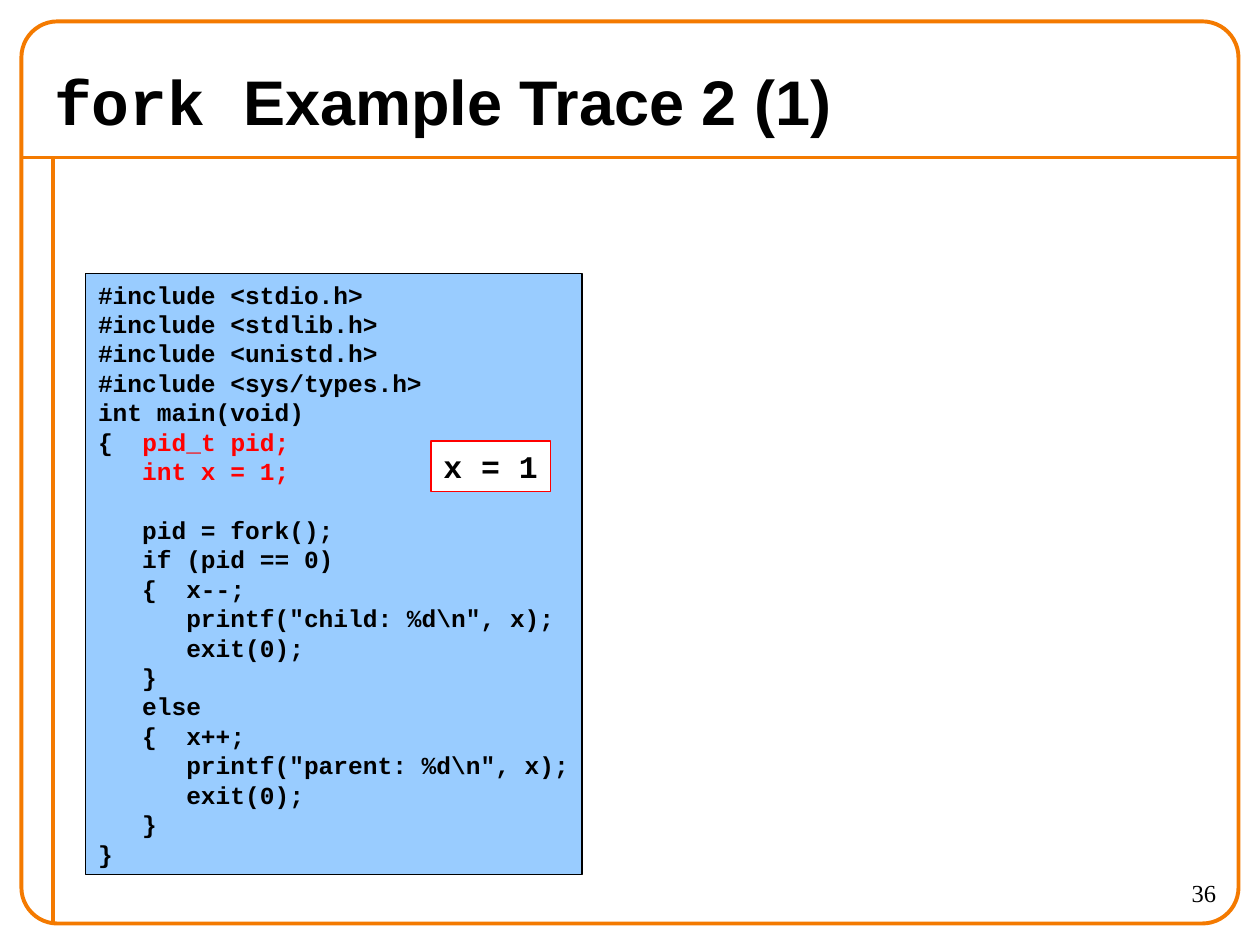
import lxml.etree
import pptx
import pptx.dml.color
import pptx.enum.shapes
import pptx.enum.text
import pptx.oxml.ns
import pptx.util

Inches = pptx.util.Inches
Shape = pptx.enum.shapes.MSO_SHAPE
Align = pptx.enum.text.PP_ALIGN
Anchor = pptx.enum.text.MSO_ANCHOR

ORANGE, BLACK, RED = "F47A00", "000000", "FF0000"
MONO = "Courier New"

TITLE = [("fork ", MONO), ("Example Trace 2 (1)", "Arial")]
PAGE = "36"
STATE = "x = 1"

# Each line of code is a list of (text, colour) runs.
CODE = [
    [("#include <stdio.h>", BLACK)],
    [("#include <stdlib.h>", BLACK)],
    [("#include <unistd.h>", BLACK)],
    [("#include <sys/types.h>", BLACK)],
    [("int main(void)", BLACK)],
    [("{  ", BLACK), ("pid_t pid;", RED)],
    [("   int x = 1;", RED)],
    [],
    [("   pid = fork();", BLACK)],
    [("   if (pid == 0)", BLACK)],
    [("   {  x--;", BLACK)],
    [('      printf("child: %d\\n", x);', BLACK)],
    [("      exit(0);", BLACK)],
    [("   }", BLACK)],
    [("   else", BLACK)],
    [("   {  x++;", BLACK)],
    [('      printf("parent: %d\\n", x);', BLACK)],
    [("      exit(0);", BLACK)],
    [("   }", BLACK)],
    [("}", BLACK)],
]

# Frame and rules: left, top, right, bottom
LEFT, TOP, RIGHT, BOTTOM = 0.17, 0.17, 9.83, 7.33
HEAD, MARGIN = 1.25, 0.42
RULES = [(LEFT, HEAD, RIGHT, HEAD), (MARGIN, HEAD, MARGIN, BOTTOM)]


def color(target, value):
    target.rgb = pptx.dml.color.RGBColor.from_string(value)


def add_run(par, text, size, face, tint=BLACK, bold=True):
    run = par.add_run()
    run.text = text
    style = {"size": pptx.util.Pt(size), "name": face, "bold": bold}
    for key, value in style.items():
        setattr(run.font, key, value)
    color(run.font.color, tint)


def set_line(line, tint, width):
    color(line.color, tint)
    line.width = pptx.util.Pt(width)


def add_rule(slide, ends):
    rule = slide.shapes.add_connector(
        pptx.enum.shapes.MSO_CONNECTOR.STRAIGHT, *map(Inches, ends))
    set_line(rule.line, ORANGE, 2.25)
    lxml.etree.SubElement(rule._element.spPr, pptx.oxml.ns.qn("a:effectLst"))


def add_box(slide, kind, place, edge, width, fill=None):
    box = slide.shapes.add_shape(kind, *map(Inches, place))
    box.shadow.inherit = False
    set_line(box.line, edge, width)
    if fill:
        box.fill.solid()
        color(box.fill.fore_color, fill)
    else:
        box.fill.background()
    return box


def add_code(slide, place, edge, fill, lines, size):
    """Add a filled box holding lines of monospaced code."""
    box = add_box(slide, Shape.RECTANGLE, place, edge, 0.75, fill)
    frame = box.text_frame
    frame.word_wrap = False
    frame.vertical_anchor = Anchor.TOP
    for i, line in enumerate(lines):
        par = frame.add_paragraph() if i else frame.paragraphs[0]
        par.alignment = Align.LEFT
        for text, tint in line:
            add_run(par, text, size, MONO, tint)
        if not line:
            lxml.etree.SubElement(
                par._p, pptx.oxml.ns.qn("a:endParaRPr"), sz=str(size * 100))


def main():
    deck = pptx.Presentation()
    deck.slide_width, deck.slide_height = Inches(10), Inches(7.5)
    slide = deck.slides.add_slide(deck.slide_layouts[5])

    for ends in RULES:
        add_rule(slide, ends)
    place = (LEFT, TOP, RIGHT - LEFT, BOTTOM - TOP)
    border = add_box(slide, Shape.ROUNDED_RECTANGLE, place, ORANGE, 2.25)
    border.adjustments[0] = 0.04

    page = slide.shapes.add_textbox(*map(Inches, (8.75, 6.92, 1, 0.42)))
    page.text_frame.word_wrap = True
    par = page.text_frame.paragraphs[0]
    par.alignment = Align.RIGHT
    add_run(par, PAGE, 14, "Times New Roman", bold=False)

    title = slide.shapes.title
    spots = zip(("left", "top", "width", "height"), (0.33, 0.42, 9.33, 0.75))
    for key, value in spots:
        setattr(title, key, Inches(value))
    title.text_frame.vertical_anchor = Anchor.MIDDLE
    par = title.text_frame.paragraphs[0]
    par.alignment = Align.LEFT
    for text, face in TITLE:
        add_run(par, text, 36, face)

    add_code(slide, (0.68, 2.17, 3.94, 4.77), BLACK, "99CCFF", CODE, 14)
    add_code(slide, (3.42, 3.5, 0.95, 0.4), RED, "FFFFFF", [[(STATE, BLACK)]], 18)

    deck.save("out.pptx")


if __name__ == "__main__":
    main()
